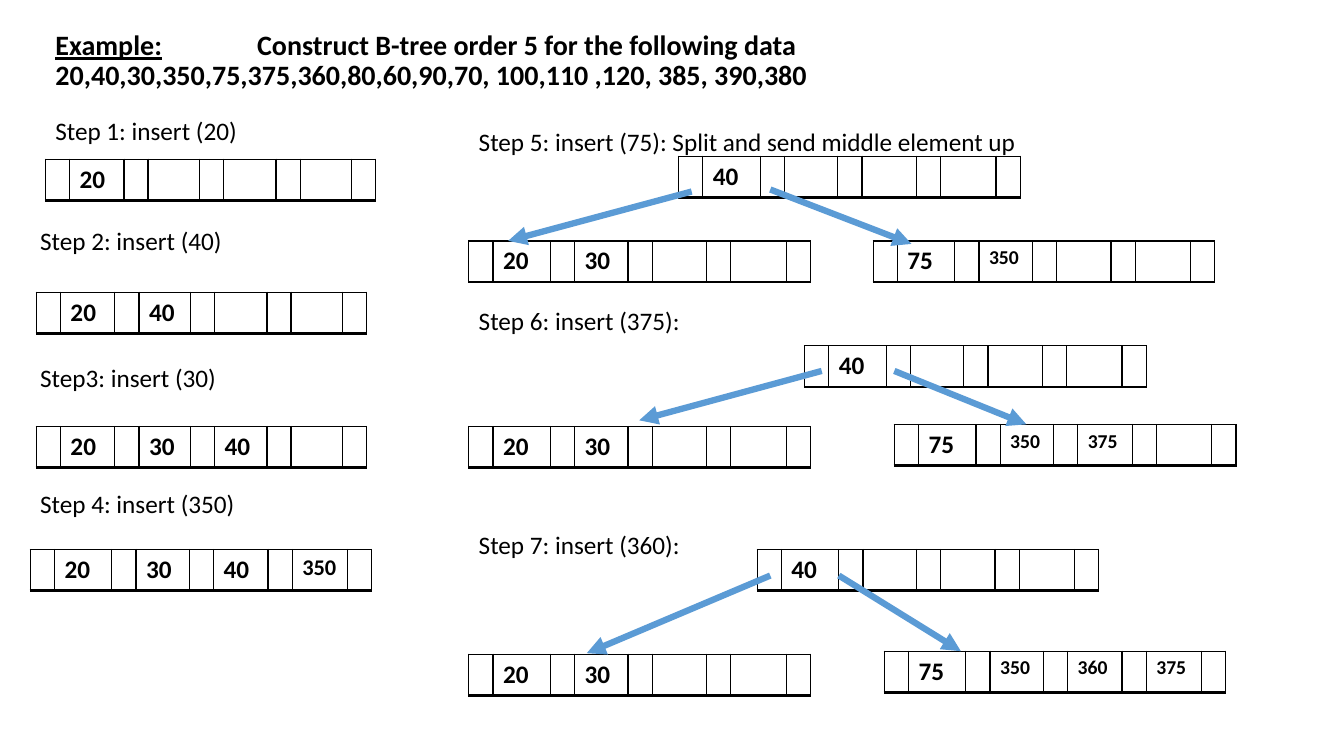
from lxml import etree
from pptx import Presentation
from pptx.dml.color import RGBColor
from pptx.enum.shapes import MSO_CONNECTOR
from pptx.enum.text import MSO_ANCHOR, MSO_AUTO_SIZE, PP_ALIGN
from pptx.oxml.ns import qn
from pptx.util import Emu, Pt

STRAIGHT = MSO_CONNECTOR.STRAIGHT
BOTTOM = MSO_ANCHOR.BOTTOM
NO_AUTOFIT = MSO_AUTO_SIZE.NONE
LEFT = PP_ALIGN.LEFT

EMU_PER_PX = 9144  # 100 px to the inch
TITLE_ONLY = 5
COLORS = {"text": "000000", "border": "000000", "arrow": "5B9BD5"}
BORDERS = {"a:lnL": 1, "a:lnR": 1, "a:lnT": 1, "a:lnB": 2}

# Pointer and key columns alternate in every node.
NARROW_NODE = (23, 54, 23, 51, 23, 52, 23, 51, 23)
WIDE_NODE = (24, 57, 24, 53, 24, 54, 24, 55, 23)
NODE_HEIGHT = 41


def px(length):
    return Emu(length * EMU_PER_PX)


class TreeSlide:
    font = "Calibri"

    def __init__(self, presentation):
        layout = presentation.slide_layouts[TITLE_ONLY]
        self.slide = presentation.slides.add_slide(layout)

    def add_run(self, paragraph, text, size=18, bold=False, underline=False):
        run = paragraph.add_run()
        run.text = text
        run.font.name = self.font
        run.font.size = Pt(size)
        run.font.bold = bold
        run.font.underline = underline
        run.font.color.rgb = RGBColor.from_string(COLORS["text"])

    def title(self, left, top, width, height, heading, task, data):
        shape = self.slide.shapes.title
        shape.left, shape.top = px(left), px(top)
        shape.width, shape.height = px(width), px(height)
        frame = shape.text_frame
        frame.word_wrap = True
        frame.auto_size = NO_AUTOFIT
        frame.vertical_anchor = BOTTOM
        frame.margin_bottom = px(35)
        paragraph = frame.paragraphs[0]
        paragraph.alignment = LEFT
        paragraph.line_spacing = 0.9
        self.add_run(paragraph, heading, 20, bold=True, underline=True)
        self.add_run(paragraph, "\t\t" + task, 20, bold=True)
        paragraph.add_line_break()
        self.add_run(paragraph, data, 20, bold=True)

    def label(self, left, top, width, text):
        box = self.slide.shapes.add_textbox(px(left), px(top), px(width), px(40))
        box.text_frame.word_wrap = True
        self.add_run(box.text_frame.paragraphs[0], text)

    def node(self, left, top, keys, columns=WIDE_NODE, long_key_size=14):
        """Draw one B-tree node; keys of three digits use long_key_size."""
        frame = self.slide.shapes.add_table(
            1, len(columns), px(left), px(top), px(sum(columns)), px(NODE_HEIGHT))
        table = frame.table
        table.first_row = False
        table.horz_banding = False
        table.rows[0].height = px(NODE_HEIGHT)
        for index, width in enumerate(columns):
            table.columns[index].width = px(width)
            cell = table.cell(0, index)
            self.border(cell)
            cell.fill.background()
        for index, key in enumerate(keys):
            paragraph = table.cell(0, 2 * index + 1).text_frame.paragraphs[0]
            size = long_key_size if key >= 100 else 18
            self.add_run(paragraph, str(key), size, bold=True)

    def border(self, cell):
        properties = cell._tc.get_or_add_tcPr()
        for tag, points in BORDERS.items():
            line = etree.SubElement(properties, qn(tag), w=str(Pt(points)))
            fill = etree.SubElement(line, qn("a:solidFill"))
            etree.SubElement(fill, qn("a:srgbClr"), val=COLORS["border"])

    def arrow(self, start, end):
        connector = self.slide.shapes.add_connector(
            STRAIGHT, *map(px, start), *map(px, end))
        connector.line.color.rgb = RGBColor.from_string(COLORS["arrow"])
        connector.line.width = Pt(4.5)
        properties = connector.element.spPr
        line = properties.find(qn("a:ln"))
        etree.SubElement(line, qn("a:tailEnd"), type="triangle")
        etree.SubElement(properties, qn("a:effectLst"))


def add_insert_steps(page):
    page.label(45, 109, 205, "Step 1: insert (20)")
    page.node(45, 158, [20], NARROW_NODE)
    page.label(30, 219, 215, "Step 2: insert (40)")
    page.node(36, 290, [20, 40], NARROW_NODE)
    page.label(30, 355, 215, "Step3: insert (30)")
    page.node(36, 423, [20, 30, 40], NARROW_NODE)
    page.label(30, 480, 225, "Step 4: insert (350)")
    page.node(30, 545, [20, 30, 40, 350], long_key_size=16)


def add_split_steps(page):
    # Label, its top, root place, left child top, right child place and keys, arrows
    steps = [
        ("Step 5: insert (75): Split and send middle element up", 120,
         (673, 155), 239, (866, 239), [75, 350],
         [((686, 190), (504, 239)), ((764, 188), (904, 242))]),
        ("Step 6: insert (375):", 298,
         (798, 343), 423, (887, 421), [75, 350, 375],
         [((815, 368), (634, 417)), ((887, 368), (1018, 421))]),
        ("Step 7: insert (360):", 520,
         (751, 545), 649, (877, 646), [75, 350, 360, 375],
         [((764, 571), (582, 648)), ((832, 571), (953, 646))]),
    ]
    for text, label_top, root, left_top, right, right_keys, arrows in steps:
        page.label(465, label_top, 644, text)
        page.node(465, left_top, [20, 30])
        page.node(*right, right_keys)
        page.node(*root, [40])
        for start, end in arrows:
            page.arrow(start, end)


def main():
    presentation = Presentation()
    presentation.slide_width, presentation.slide_height = px(1333), px(750)
    page = TreeSlide(presentation)
    page.title(45, 17, 1000, 109, "Example:",
               "Construct B-tree order 5 for the following data",
               "20,40,30,350,75,375,360,80,60,90,70, 100,110 ,120, 385, 390,380")
    add_insert_steps(page)
    add_split_steps(page)
    presentation.save("out.pptx")


if __name__ == "__main__":
    main()
